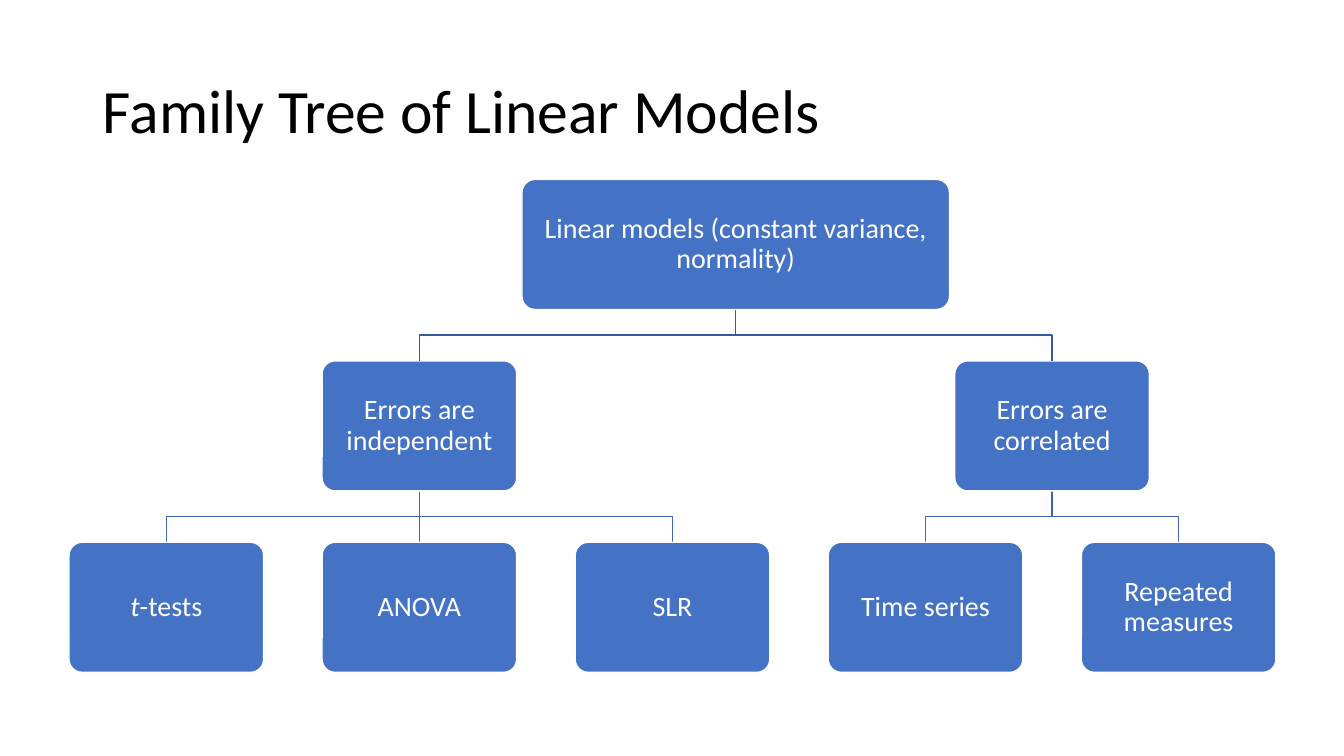
from lxml import etree
from pptx import Presentation
from pptx.dml.color import RGBColor
from pptx.enum.shapes import MSO_CONNECTOR, MSO_SHAPE
from pptx.enum.text import MSO_ANCHOR, MSO_AUTO_SIZE, PP_ALIGN
from pptx.oxml.ns import qn
from pptx.util import Inches, Pt

STRAIGHT = MSO_CONNECTOR.STRAIGHT
ROUNDED = MSO_SHAPE.ROUNDED_RECTANGLE
MIDDLE = MSO_ANCHOR.MIDDLE
NO_AUTOFIT = MSO_AUTO_SIZE.NONE
LEFT, CENTER = PP_ALIGN.LEFT, PP_ALIGN.CENTER

BLACK = RGBColor(0x00, 0x00, 0x00)
WHITE = RGBColor(0xFF, 0xFF, 0xFF)
BLUE = RGBColor(0x44, 0x72, 0xC4)
LINE_COLORS = [RGBColor(0x36, 0x5B, 0x9D), RGBColor(0x3E, 0x67, 0xB2)]

BOX_HEIGHT = 1.29
BOX_WIDTH = 1.93
ROOT_WIDTH = 4.24
TREE_TOP = 1.78
LEVEL_STEP = 1.8
LEAF_CENTER = 1.65
LEAF_STEP = 2.51

# Each label is a list of (text, italic) runs.
ROOT = [("Linear models (constant variance, normality)", False)]
BRANCHES = [
    ([("Errors are independent", False)],
     [[("t", True), ("-tests", False)], [("ANOVA", False)], [("SLR", False)]]),
    ([("Errors are correlated", False)],
     [[("Time series", False)], [("Repeated measures", False)]]),
]


class TreeSlide:
    def __init__(self, presentation, font_name):
        self.slide = presentation.slides.add_slide(presentation.slide_layouts[5])
        self.shapes = self.slide.shapes
        self.font_name = font_name

    def style(self, paragraph, size, color, alignment):
        paragraph.alignment = alignment
        paragraph.line_spacing = 0.9
        paragraph.font.name = self.font_name
        paragraph.font.size = Pt(size)
        paragraph.font.color.rgb = color

    def title(self, text):
        title = self.shapes.title
        title.left, title.top = Inches(0.92), Inches(0.4)
        title.width, title.height = Inches(11.5), Inches(1.45)
        frame = title.text_frame
        frame.text = text
        frame.auto_size = NO_AUTOFIT
        frame.vertical_anchor = MIDDLE
        self.style(frame.paragraphs[0], 44, BLACK, LEFT)

    def box(self, label, center, level, width=BOX_WIDTH):
        shape = self.shapes.add_shape(
            ROUNDED, Inches(center - width / 2), Inches(level_top(level)),
            Inches(width), Inches(BOX_HEIGHT))
        shape.adjustments[0] = 0.1
        shape.shadow.inherit = False
        shape.fill.solid()
        shape.fill.fore_color.rgb = BLUE
        shape.line.color.rgb = WHITE
        shape.line.width = Pt(1)
        frame = shape.text_frame
        frame.word_wrap = True
        frame.vertical_anchor = MIDDLE
        frame.margin_left = frame.margin_right = Inches(0.11)
        frame.margin_top = frame.margin_bottom = Inches(0.11)
        paragraph = frame.paragraphs[0]
        self.style(paragraph, 20, WHITE, CENTER)
        for text, italic in label:
            run = paragraph.add_run()
            run.text = text
            run.font.italic = italic

    def link(self, parent, child, level):
        """Join a parent on the given level to a child one level below."""
        start = level_top(level) + BOX_HEIGHT
        end = level_top(level + 1)
        if abs(parent - child) < 0.01:
            line = self.shapes.add_connector(
                STRAIGHT, Inches(parent), Inches(start), Inches(child), Inches(end))
            etree.SubElement(line._element.spPr, qn("a:effectLst"))
        else:
            bend = (start + end) / 2
            builder = self.shapes.build_freeform(Inches(parent), Inches(start))
            builder.add_line_segments(
                [(Inches(x), Inches(y))
                 for x, y in [(parent, bend), (child, bend), (child, end)]],
                close=False)
            line = builder.convert_to_shape()
            line.fill.background()
            line.shadow.inherit = False
        line.line.color.rgb = LINE_COLORS[level]
        line.line.width = Pt(1)


def level_top(level):
    return TREE_TOP + level * LEVEL_STEP


def middle(centers):
    return (centers[0] + centers[-1]) / 2


def main():
    presentation = Presentation()
    presentation.slide_width = Inches(13.33)
    presentation.slide_height = Inches(7.5)
    tree = TreeSlide(presentation, "Calibri")
    tree.title("Family Tree of Linear Models")

    branch_centers = []
    leaf_count = 0
    for label, leaves in BRANCHES:
        leaf_centers = [LEAF_CENTER + LEAF_STEP * (leaf_count + index)
                        for index in range(len(leaves))]
        leaf_count += len(leaves)
        branch_center = middle(leaf_centers)
        branch_centers.append(branch_center)
        for leaf, leaf_center in zip(leaves, leaf_centers):
            tree.link(branch_center, leaf_center, 1)
            tree.box(leaf, leaf_center, 2)
        tree.box(label, branch_center, 1)

    root_center = middle(branch_centers)
    for branch_center in branch_centers:
        tree.link(root_center, branch_center, 0)
    tree.box(ROOT, root_center, 0, ROOT_WIDTH)
    presentation.save("out.pptx")


if __name__ == "__main__":
    main()
